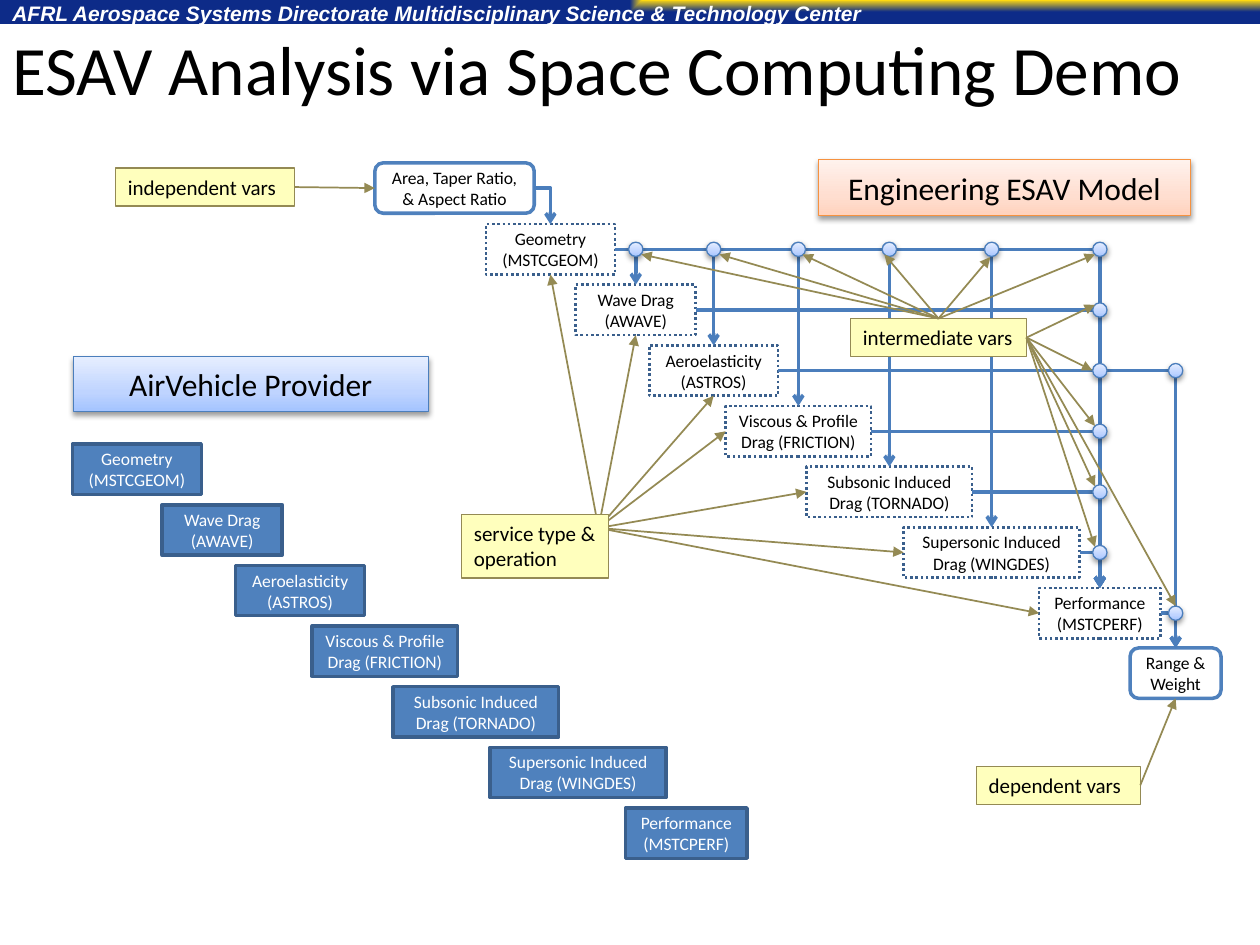
from lxml import etree
from pptx import Presentation
from pptx import oxml
from pptx import util as u
from pptx.dml.color import RGBColor
from pptx.enum import dml, shapes, text
from pptx.oxml import ns

Pt = u.Pt
WHITE = RGBColor(0xFF, 0xFF, 0xFF)
BLACK = RGBColor(0x00, 0x00, 0x00)
BLUE = RGBColor(0x4F, 0x81, 0xBD)
WIRE = RGBColor(0x4B, 0x7E, 0xBC)
NAVY = RGBColor(0x3A, 0x5F, 0x8C)
ORANGE = RGBColor(0xF6, 0x92, 0x40)
YELLOW = RGBColor(0xFF, 0xFF, 0xBD)
OLIVE = RGBColor(0x94, 0x8A, 0x54)

# Gradients: (position in percent, colour) stops and a direction element
UPWARD = '<a:lin ang="16200000" scaled="0"/>'
FROM_CORNER = '<a:path path="rect"><a:fillToRect l="100000" b="100000"/></a:path>'
HEADER_GRADIENT = ([(0, RGBColor(0xFE, 0xD9, 0x10)), (100, RGBColor(0x0D, 0x2B, 0x88))], FROM_CORNER)
BLUE_GRADIENT = ([(0, RGBColor(0xA4, 0xC4, 0xFF)), (35, RGBColor(0xBF, 0xD4, 0xFF)),
                  (100, RGBColor(0xE6, 0xEE, 0xFF))], UPWARD)
ORANGE_GRADIENT = ([(0, RGBColor(0xFF, 0xD2, 0xBD)), (35, RGBColor(0xFF, 0xDE, 0xD0)),
                    (100, RGBColor(0xFF, 0xF2, 0xED))], UPWARD)
SHADOW = (f'<a:outerShdw {ns.nsdecls("a")} blurRad="{Pt(3.1)}" dist="{Pt(1.6)}" dir="5400000" '
          'rotWithShape="0"><a:srgbClr val="000000"><a:alpha val="38000"/></a:srgbClr></a:outerShdw>')

RECTANGLE = shapes.MSO_SHAPE.RECTANGLE
ROUNDED = shapes.MSO_SHAPE.ROUNDED_RECTANGLE
OVAL = shapes.MSO_SHAPE.OVAL
CENTER, LEFT = text.PP_ALIGN.CENTER, text.PP_ALIGN.LEFT
TOP, BOTTOM, LEFT_SIDE, RIGHT_SIDE = 0, 2, 1, 3

presentation = Presentation()
presentation.slide_width, presentation.slide_height = Pt(720), Pt(540)
slide = presentation.slides.add_slide(presentation.slide_layouts[6])


def add_box(kind, place, fill, line, width, wording="", size=10, color=BLACK,
            align=CENTER, shadow=False):
    shape = slide.shapes.add_shape(kind, *[Pt(value) for value in place])
    shape.shadow.inherit = False
    properties = shape._element.spPr
    if fill is None:
        shape.fill.background()
    elif isinstance(fill, tuple) and isinstance(fill[0], list):
        stops = "".join(f'<a:gs pos="{position * 1000}"><a:srgbClr val="{stop}"/></a:gs>'
                        for position, stop in fill[0])
        shape.fill.gradient()
        properties.replace(properties.find(ns.qn("a:gradFill")), oxml.parse_xml(
            f'<a:gradFill {ns.nsdecls("a")} rotWithShape="1"><a:gsLst>{stops}</a:gsLst>{fill[1]}</a:gradFill>'))
    else:
        shape.fill.solid()
        shape.fill.fore_color.rgb = fill
    if line is None:
        shape.line.fill.background()
    else:
        shape.line.color.rgb = line
        shape.line.width = Pt(width)
    if shadow:
        properties.find(ns.qn("a:effectLst")).append(oxml.parse_xml(SHADOW))
    if wording:
        frame = shape.text_frame
        frame.text = wording
        frame.word_wrap = True
        frame.vertical_anchor = text.MSO_ANCHOR.MIDDLE
        for paragraph in frame.paragraphs:
            paragraph.alignment = align
            paragraph.font.name = "Calibri"
            paragraph.font.size = Pt(size)
            paragraph.font.color.rgb = color
    return shape


def add_arrow(start, end, color, width, head, bent=False):
    """Each end is a point (x, y) or a pair (shape, side number)."""
    kind = shapes.MSO_CONNECTOR.ELBOW if bent else shapes.MSO_CONNECTOR.STRAIGHT
    points = [(0, 0) if hasattr(place[0], "shape_id") else place for place in (start, end)]
    connector = slide.shapes.add_connector(kind, *[Pt(value) for point in points for value in point])
    if hasattr(start[0], "shape_id"):
        connector.begin_connect(*start)
    if hasattr(end[0], "shape_id"):
        connector.end_connect(*end)
    connector.line.color.rgb = color
    connector.line.width = Pt(width)
    properties = connector._element.spPr
    if bent:
        properties.find(ns.qn("a:prstGeom")).set("prst", "bentConnector2")
    etree.SubElement(properties.find(ns.qn("a:ln")), ns.qn("a:tailEnd"), type=head)
    etree.SubElement(properties, ns.qn("a:effectLst"))


# Header band and title
add_box(RECTANGLE, (0, 0, 720, 13.7), HEADER_GRADIENT, None, 0)
for place, wording, font_name, size, color in [
    ((0, -0.7, 504, 18.7), "AFRL Aerospace Systems Directorate Multidisciplinary Science & Technology Center",
     "Arial", 12, WHITE),
    ((0, 0, 720, 77.8), "ESAV Analysis via Space Computing Demo", "Calibri", 39.6, BLACK),
]:
    box = slide.shapes.add_textbox(*[Pt(value) for value in place])
    box.text_frame.word_wrap = True
    box.text_frame.text = wording
    paragraph = box.text_frame.paragraphs[0]
    paragraph.font.name = font_name
    paragraph.font.size = Pt(size)
    paragraph.font.color.rgb = color
    if font_name == "Arial":
        paragraph.font.bold = paragraph.font.italic = True
        paragraph.line_spacing = 0.8
    else:
        box.text_frame.vertical_anchor = text.MSO_ANCHOR.MIDDLE

# Analysis services: left, width, wording, placed as a staircase
SERVICES = [
    (277.7, 73.7, "Geometry\n(MSTCGEOM)"),
    (329, 68.6, "Wave Drag\n(AWAVE)"),
    (371, 73.6, "Aeroelasticity (ASTROS)"),
    (414.7, 83, "Viscous & Profile Drag (FRICTION)"),
    (460.8, 94.8, "Subsonic Induced Drag (TORNADO)"),
    (516.4, 100.5, "Supersonic Induced Drag (WINGDES)"),
    (593.8, 69.4, "Performance (MSTCPERF)"),
]
FIRST_TOP, STEP, HEIGHT = 128.1, 34.65, 28.8
PROVIDER_LEFT, PROVIDER_DOWN = -236.3, 125.7
models = []
for index, (left, width, wording) in enumerate(SERVICES):
    top = FIRST_TOP + index * STEP
    add_box(RECTANGLE, (left + PROVIDER_LEFT, top + PROVIDER_DOWN, width, HEIGHT),
            BLUE, NAVY, 2, wording, color=WHITE)
    model = add_box(RECTANGLE, (left, top, width, HEIGHT), None, NAVY, 1.5, wording)
    model.line.dash_style = dml.MSO_LINE.ROUND_DOT
    models.append(model)
inputs = add_box(ROUNDED, (214.2, 93.1, 91.1, 28.8), WHITE, BLUE, 2, "Area, Taper Ratio,\n& Aspect Ratio")
outputs = add_box(ROUNDED, (645.8, 370.3, 52, 28.8), WHITE, BLUE, 2, "Range & Weight")

# Data flow between the models
geometry, aeroelasticity, performance = models[0], models[2], models[-1]
flows = [(inputs, geometry), (aeroelasticity, outputs), (performance, outputs)]
flows += [(geometry, model) for model in models[1:]]
flows += [(model, performance) for model in models[1:-1]]
for source, target in flows:
    add_arrow((source, RIGHT_SIDE), (target, TOP), WIRE, 2, "arrow", bent=True)

# Junction dots on the flow lines
centers = [left + width / 2 for left, width, _ in SERVICES]
middles = [FIRST_TOP + index * STEP + HEIGHT / 2 for index in range(len(SERVICES))]
junctions = [(x, middles[0]) for x in centers[1:]]
junctions += [(centers[-1], y) for y in middles[1:-1]]
junctions += [(671.8, middles[2]), (671.8, middles[-1])]
DOT = 8.2
for x, y in junctions:
    add_box(OVAL, (x - DOT / 2, y - DOT / 2, DOT, DOT), BLUE_GRADIENT, WIRE, 0.75, shadow=True)

# Section headings
add_box(RECTANGLE, (41.8, 203.8, 203, 31.2), BLUE_GRADIENT, WIRE, 0.75,
        "AirVehicle Provider", 18, shadow=True)
add_box(RECTANGLE, (467.6, 91.1, 212.8, 32.2), ORANGE_GRADIENT, ORANGE, 0.75,
        "Engineering ESAV Model", 18, shadow=True)

# Arrows from the service note, which covers their common start
for index, model in enumerate(models):
    add_arrow((342, 301.7), (model, BOTTOM if index < 3 else LEFT_SIDE), OLIVE, 1, "triangle")

# Yellow notes
notes = []
for place, wording in [
    ((66, 96, 102.4, 21.8), "independent vars"),
    ((557.9, 437.8, 93.7, 21.8), "dependent vars"),
    ((486, 182, 100.6, 21.8), "intermediate vars"),
    ((263.7, 294, 84.2, 36.4), "service type & operation"),
]:
    note = add_box(RECTANGLE, place, YELLOW, OLIVE, 0.75, wording, 12, align=LEFT)
    note.text_frame.vertical_anchor = text.MSO_ANCHOR.TOP
    note.text_frame.word_wrap = wording.startswith("service")
    note.text_frame.auto_size = text.MSO_AUTO_SIZE.SHAPE_TO_FIT_TEXT
    notes.append(note)
independent, dependent, intermediate, _ = notes

# Arrows from the variable notes
add_arrow((independent, RIGHT_SIDE), (inputs, LEFT_SIDE), OLIVE, 1, "triangle")
add_arrow((dependent, RIGHT_SIDE), (outputs, BOTTOM), OLIVE, 1, "triangle")
row_ends = [(366.5, 145.4), (411.1, 145.4), (458.6, 145.4), (505.4, 145.4), (565.9, 146.9), (625.7, 145.4)]
column_ends = [(625.7, 174.2), (624.2, 211.7), (625.7, 243.4), (625.7, 277.9), (625.7, 312.5), (671.8, 346.3)]
for side, ends in [(TOP, row_ends), (RIGHT_SIDE, column_ends)]:
    for end in ends:
        add_arrow((intermediate, side), end, OLIVE, 1, "triangle")

presentation.save("out.pptx")
